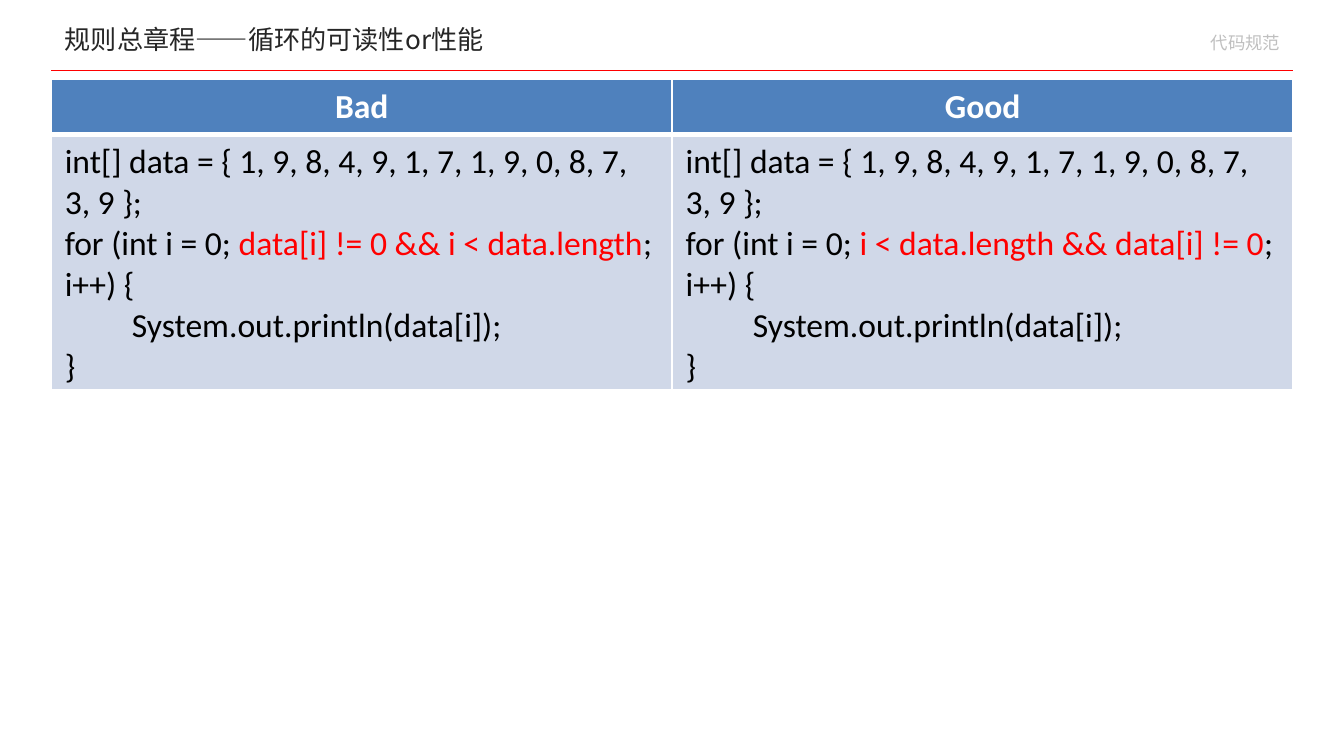
import pptx
import pptx.dml.color
import pptx.enum.shapes
import pptx.enum.text
import pptx.oxml.ns
import pptx.util
import lxml.etree

Cm = pptx.util.Cm
Pt = pptx.util.Pt
qn = pptx.oxml.ns.qn
ALIGN = pptx.enum.text.PP_ALIGN
ANCHOR = pptx.enum.text.MSO_ANCHOR

COLORS = {
    "title": "262626",
    "tag": "BFBFBF",
    "red": "FF0000",
    "header": "4F81BD",
    "body": "D0D8E8",
    "white": "FFFFFF",
    "black": "000000",
}
CJK = "Noto Sans CJK SC"
LATIN = "Calibri"
TAB_STOP = Cm(1.27)

DATA_LINE = "int[] data = { 1, 9, 8, 4, 9, 1, 7, 1, 9, 0, 8, 7, 3, 9 };"
CONDITIONS = {
    "Bad": "data[i] != 0 && i < data.length",
    "Good": "i < data.length && data[i] != 0",
}


def rgb(name):
    return pptx.dml.color.RGBColor.from_string(COLORS[name])


def write(paragraph, text, size=18, font=LATIN, color="black", bold=False, align=ALIGN.LEFT):
    paragraph.alignment = align
    run = paragraph.add_run()
    run.text = text
    run.font.size = Pt(size)
    run.font.name = font
    run.font.bold = bold
    run.font.color.rgb = rgb(color)
    east_asian = lxml.etree.SubElement(run._r.get_or_add_rPr(), qn("a:ea"))
    east_asian.set("typeface", font)


def set_tab_stop(paragraph):
    stops = lxml.etree.SubElement(paragraph._p.get_or_add_pPr(), qn("a:tabLst"))
    lxml.etree.SubElement(stops, qn("a:tab"), pos=str(TAB_STOP), algn="l")


def style_cell(cell, fill, top=1, bottom=1):
    properties = cell._tc.get_or_add_tcPr()
    for side, width in (("L", 1), ("R", 1), ("T", top), ("B", bottom)):
        border = lxml.etree.SubElement(properties, qn(f"a:ln{side}"), w=str(Pt(width)))
        paint = lxml.etree.SubElement(border, qn("a:solidFill"))
        lxml.etree.SubElement(paint, qn("a:srgbClr"), val=COLORS["white"])
    cell.fill.solid()
    cell.fill.fore_color.rgb = rgb(fill)


def add_heading(slide, left, top, width, height):
    title = slide.shapes.title
    title.left, title.top, title.width, title.height = left, top, Cm(11.12), Cm(0.76)
    title.text_frame.auto_size = pptx.enum.text.MSO_AUTO_SIZE.NONE
    title.text_frame.vertical_anchor = ANCHOR.MIDDLE
    write(title.text_frame.paragraphs[0], "规则总章程——循环的可读性or性能",
          size=14, font=CJK, color="title")

    tag_width = Cm(10.06)
    tag = slide.shapes.add_textbox(left + width - tag_width, top + Cm(0.25), tag_width, Cm(0.56))
    tag.text_frame.word_wrap = True
    tag.text_frame.margin_top = tag.text_frame.margin_bottom = 0
    tag_line = tag.text_frame.paragraphs[0]
    tag_line.space_before = Pt(1.9)
    write(tag_line, "代码规范", size=9.3, font=CJK, color="tag", align=ALIGN.RIGHT)

    rule = slide.shapes.add_connector(
        pptx.enum.shapes.MSO_CONNECTOR.STRAIGHT, left, top + height, left + width, top + height)
    rule.line.color.rgb = rgb("red")
    rule.line.width = Pt(0.25)
    lxml.etree.SubElement(rule._element.spPr, qn("a:effectLst"))


def add_comparison(slide, left, top, width, height):
    table = slide.shapes.add_table(2, len(CONDITIONS), left, top, width, height).table
    header_height = Cm(1.04)
    table.rows[0].height = header_height
    table.rows[1].height = height - header_height
    for column, (verdict, condition) in enumerate(CONDITIONS.items()):
        table.columns[column].width = width // len(CONDITIONS)

        header = table.cell(0, column)
        style_cell(header, "header", bottom=3)
        header.vertical_anchor = ANCHOR.MIDDLE
        write(header.text_frame.paragraphs[0], verdict,
              color="white", bold=True, align=ALIGN.CENTER)

        body = table.cell(1, column)
        style_cell(body, "body", top=3)
        code = body.text_frame
        write(code.paragraphs[0], DATA_LINE)
        loop = code.add_paragraph()
        write(loop, "for (int i = 0; ")
        write(loop, condition, color="red")
        write(loop, "; i++) {")
        output = code.add_paragraph()
        write(output, "\tSystem.out.println(data[i]);")
        set_tab_stop(output)
        write(code.add_paragraph(), "}")


def main():
    deck = pptx.Presentation()
    deck.slide_width, deck.slide_height = Cm(25.4), Cm(14.29)
    slide = deck.slides.add_slide(deck.slide_layouts[5])
    left, width = Cm(0.97), Cm(23.47)
    add_heading(slide, left, Cm(0.36), width, Cm(0.97))
    add_comparison(slide, left, Cm(1.5), width, Cm(5.87))
    deck.save("out.pptx")


if __name__ == "__main__":
    main()
